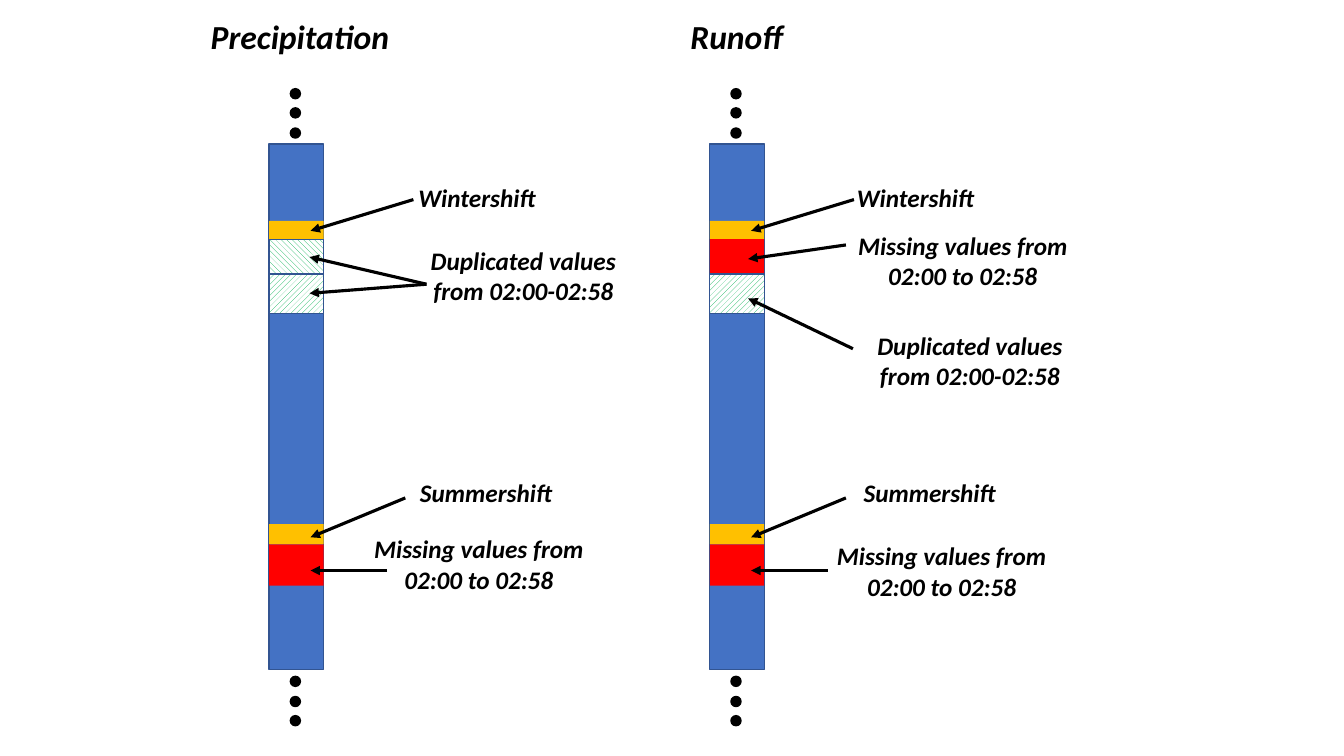
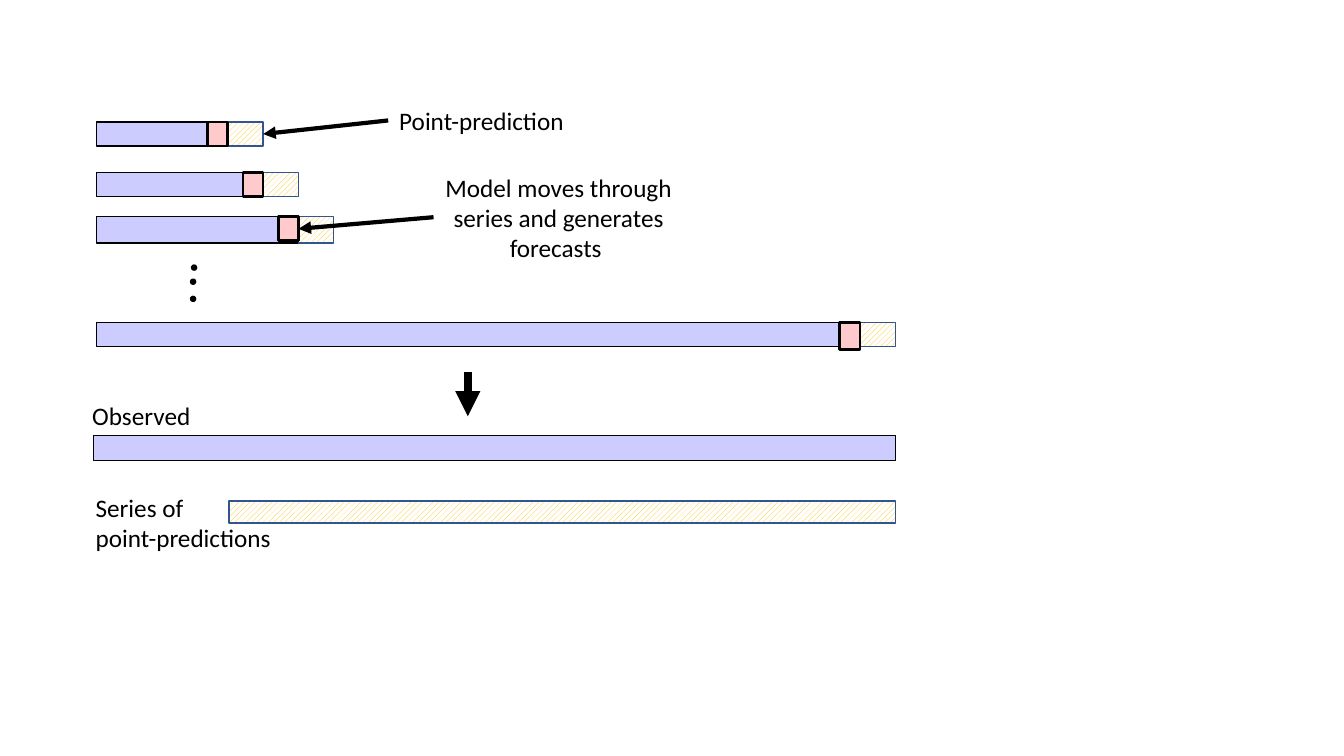
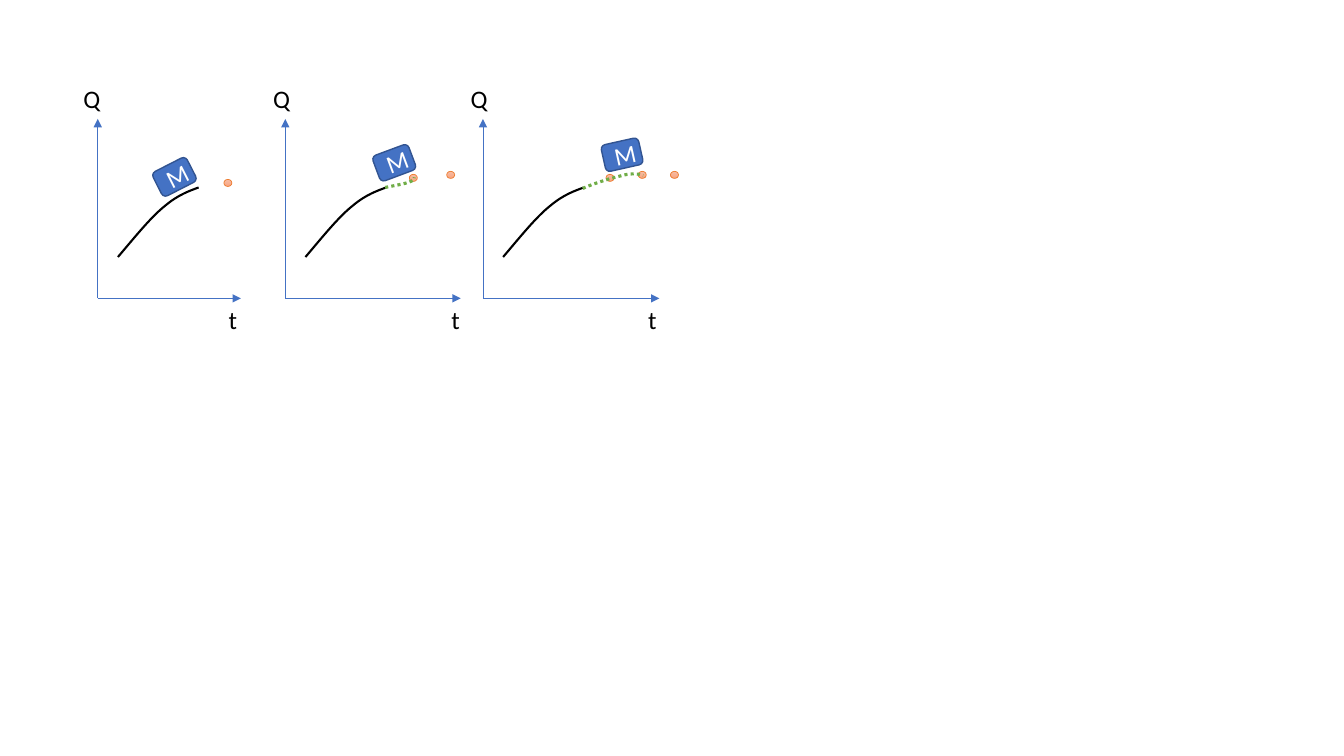
from lxml.etree import SubElement
from pptx import Presentation
from pptx.dml.color import RGBColor
from pptx.enum.dml import MSO_LINE, MSO_PATTERN
from pptx.enum.shapes import MSO_CONNECTOR, MSO_SHAPE
from pptx.enum.text import MSO_ANCHOR, PP_ALIGN
from pptx.oxml.ns import qn
from pptx.util import Emu, Pt

SCALE = 9144
TOP, LEFT, BOTTOM, RIGHT = range(4)


class Board:
    """Holds the shared style and the slide being drawn."""

    font = "Calibri"
    colours = {
        "black": "000000", "white": "FFFFFF", "blue": "4472C4", "edge": "325491",
        "green": "00B050", "red": "FF0000", "gold": "FFC000", "lilac": "CDCCFF",
        "pink": "FFCACB", "orange": "ED7D31", "peach": "F7BDA5", "salmon": "F8A582",
        "leaf": "70AD47",
    }
    hatches = {
        "green down": ("green", MSO_PATTERN.WIDE_DOWNWARD_DIAGONAL),
        "green up": ("green", MSO_PATTERN.WIDE_UPWARD_DIAGONAL),
        "gold up": ("gold", MSO_PATTERN.WIDE_UPWARD_DIAGONAL),
    }

    def __init__(self, width, height):
        self.deck = Presentation()
        self.deck.slide_width = self.px(width)
        self.deck.slide_height = self.px(height)
        self.page = None

    def px(self, length):
        return Emu(length * SCALE)

    def colour(self, name):
        return RGBColor.from_string(self.colours[name])

    def new_page(self):
        self.page = self.deck.slides.add_slide(self.deck.slide_layouts[6])

    def paint(self, fill, name):
        if name in self.hatches:
            ink, pattern = self.hatches[name]
            fill.patterned()
            fill.pattern = pattern
            fill.fore_color.rgb = self.colour(ink)
            fill.back_color.rgb = self.colour("white")
        elif name == "fade":
            fill.gradient()
            fill.gradient_angle = 270
            for stop, shade in zip(fill.gradient_stops, ("peach", "salmon")):
                stop.color.rgb = self.colour(shade)
        else:
            fill.solid()
            fill.fore_color.rgb = self.colour(name)

    def stroke(self, line, name, weight):
        line.color.rgb = self.colour(name)
        line.width = Pt(weight)

    def shape(self, x, y, width, height, fill, edge=None, weight=1, kind=MSO_SHAPE.RECTANGLE):
        shape = self.page.shapes.add_shape(kind, *map(self.px, (x, y, width, height)))
        shape.shadow.inherit = False
        self.paint(shape.fill, fill)
        if edge:
            self.stroke(shape.line, edge, weight)
        else:
            shape.line.fill.background()
        return shape

    def dot(self, x, y, size):
        self.shape(x, y, size, size, "black", "black", kind=MSO_SHAPE.OVAL)

    def add_text(self, shape, text, size=18, strong=False, colour="black",
                 align=PP_ALIGN.CENTER, anchor=MSO_ANCHOR.MIDDLE):
        frame = shape.text_frame
        frame.word_wrap = True
        frame.vertical_anchor = anchor
        for index, words in enumerate(text.split("\n")):
            para = frame.add_paragraph() if index else frame.paragraphs[0]
            para.alignment = align
            span = para.add_run()
            span.text = words
            span.font.name = self.font
            span.font.size = Pt(size)
            span.font.bold = span.font.italic = strong
            span.font.color.rgb = self.colour(colour)

    def label(self, text, x, y, width, height, **style):
        box = self.page.shapes.add_textbox(*map(self.px, (x, y, width, height)))
        self.add_text(box, text, **style)
        return box

    def arrow(self, x1, y1, x2, y2, weight, colour="black", start=None, end=None):
        arrow = self.page.shapes.add_connector(
            MSO_CONNECTOR.STRAIGHT, *map(self.px, (x1, y1, x2, y2)))
        self.stroke(arrow.line, colour, weight)
        properties = arrow._element.spPr
        SubElement(properties.get_or_add_ln(), qn("a:tailEnd"), type="triangle")
        SubElement(properties, qn("a:effectLst"))
        if start:
            arrow.begin_connect(*start)
        if end:
            arrow.end_connect(*end)

    def curve(self, points, colour, weight, dash=None):
        builder = self.page.shapes.build_freeform(*points[0], scale=SCALE)
        builder.add_line_segments(points[1:], close=False)
        curve = builder.convert_to_shape()
        curve.shadow.inherit = False
        curve.fill.background()
        self.stroke(curve.line, colour, weight)
        if dash:
            curve.line.dash_style = dash
        outline = curve._element.find(".//" + qn("a:path"))
        steps = outline.findall(qn("a:lnTo"))
        for first in range(0, len(steps), 3):
            bend = SubElement(outline, qn("a:cubicBezTo"))
            for step in steps[first:first + 3]:
                bend.append(step[0])
                outline.remove(step)


def draw_time_shifts(board):
    """Draw the precipitation and runoff columns with their clock shifts."""
    board.new_page()
    missing = "Missing values from 02:00 to 02:58"
    duplicated = "Duplicated values from 02:00-02:58"
    shared_arrows = [(143, 198, 41, 229), (135, 494, 41, 533), (117, 566, 41, 566)]
    columns = [
        (267, "green down", "edge",
         [(156, 282, 40, 255), (156, 282, 40, 291)],
         [("Wintershift", 390, 165, 166, 61), (duplicated, 402, 238, 234, 71),
          ("Summershift", 399, 458, 166, 61), (missing, 357, 529, 236, 61)],
         ("Precipitation", 143)),
        (704, "red", None,
         [(135, 243, 38, 257), (142, 346, 38, 296)],
         [("Wintershift", 825, 165, 166, 61), (missing, 837, 228, 236, 61),
          (duplicated, 845, 322, 234, 71), ("Summershift", 839, 458, 166, 61),
          (missing, 816, 536, 236, 61)],
         ("Runoff", 576)),
    ]
    for left, winter_fill, winter_edge, own_arrows, labels, (title, title_x) in columns:
        bands = [
            (143, 521, "blue", "edge"), (237, 36, winter_fill, winter_edge),
            (272, 39, "green up", "edge"), (540, 41, "red", None),
            (219, 18, "gold", None), (520, 20, "gold", None),
        ]
        for y, height, fill, edge in bands:
            board.shape(left, y, 54, height, fill, edge)
        for y in (88, 107, 127, 671, 691, 710):
            board.dot(left + 21, y, 10)
        for x1, y1, x2, y2 in shared_arrows + own_arrows:
            board.arrow(left + x1, y1, left + x2, y2, 2.25)
        for label in labels:
            board.label(*label, strong=True)
        board.label(title, title_x, 5, 309, 62, size=24, strong=True)


def draw_moving_forecast(board):
    """Draw the growing series and the point-predictions they yield."""
    board.new_page()
    rows = [(121, 130, 24, 121, 24), (171, 165, 24, 171, 24),
            (215, 200, 26, 215, 24), (320, 757, 24, 320, 27)]
    forecasts, markers = [], []
    for y, width, height, marker_y, marker_height in rows:
        end = 96 + width
        board.shape(96, y, width, height, "lilac", "black")
        forecasts.append(board.shape(end, y, 35, height, "gold up", "edge"))
        markers.append(board.shape(end - 20, marker_y, 20, marker_height, "pink", "black", 2))
    for x, y in ((190, 263), (189, 277), (189, 294)):
        board.dot(x, y, 5)
    board.arrow(464, 369, 464, 413, 6)
    board.shape(93, 432, 795, 25, "lilac", "black")
    board.shape(227, 497, 661, 22, "gold up", "edge")
    board.label("Observed ", 60, 382, 166, 61)
    board.label("Series of\npoint-predictions", 85, 488, 201, 61, align=PP_ALIGN.LEFT)
    model = board.label("Model moves through series and generates forecasts ",
                        430, 166, 248, 99)
    point = board.label("Point-prediction", 385, 83, 185, 73)
    board.arrow(430, 216, 296, 227, 3, start=(model, LEFT), end=(markers[2], RIGHT))
    board.arrow(385, 119, 261, 133, 3, start=(point, LEFT), end=(forecasts[0], RIGHT))


def draw_model_steps(board):
    """Draw three graphs in which the model steps along the curve."""
    board.new_page()
    observed = [(20, 255), (37, 235), (53, 215), (67, 204), (80, 193), (92, 189), (100, 186)]
    graphs = [
        (97, 142, 73, 217, [(222, 178)], (154, 162, 333), []),
        (283, 174, 261, 438, [(406, 173), (443, 170)], (372, 148, 339.6),
         [(382, 186), (397, 183), (412, 181), (411, 176)]),
        (479, 175, 457, 633, [(601, 173), (633, 170), (665, 170)], (598, 140, 347.4),
         [(578, 187), (587, 183), (596, 180), (606, 177), (616, 175), (625, 170), (638, 174)]),
    ]
    for left, length, q_x, t_x, dots, (model_x, model_y, turn), predicted in graphs:
        board.arrow(left, 296, left, 118, 0.5, "blue")
        board.arrow(left, 296, left + length, 296, 0.5, "blue")
        for x, y in dots:
            board.shape(x, y, 8, 7, "fade", "orange", 0.5, MSO_SHAPE.OVAL)
        board.curve([(left + x, y) for x, y in observed], "black", 1.5)
        model = board.shape(model_x, model_y, 38, 27, "blue", "edge",
                            kind=MSO_SHAPE.ROUNDED_RECTANGLE)
        model.rotation = turn
        board.add_text(model, "M", colour="white")
        if predicted:
            board.curve(predicted, "leaf", 2.25, MSO_LINE.ROUND_DOT)
        for name, x, y in (("Q", q_x, 78), ("t", t_x, 297)):
            board.label(name, x, y, 30, 40, align=PP_ALIGN.LEFT, anchor=MSO_ANCHOR.TOP)


def main():
    """Build the three slides and save them."""
    board = Board(1333, 750)
    draw_time_shifts(board)
    draw_moving_forecast(board)
    draw_model_steps(board)
    board.deck.save("out.pptx")


if __name__ == "__main__":
    main()
